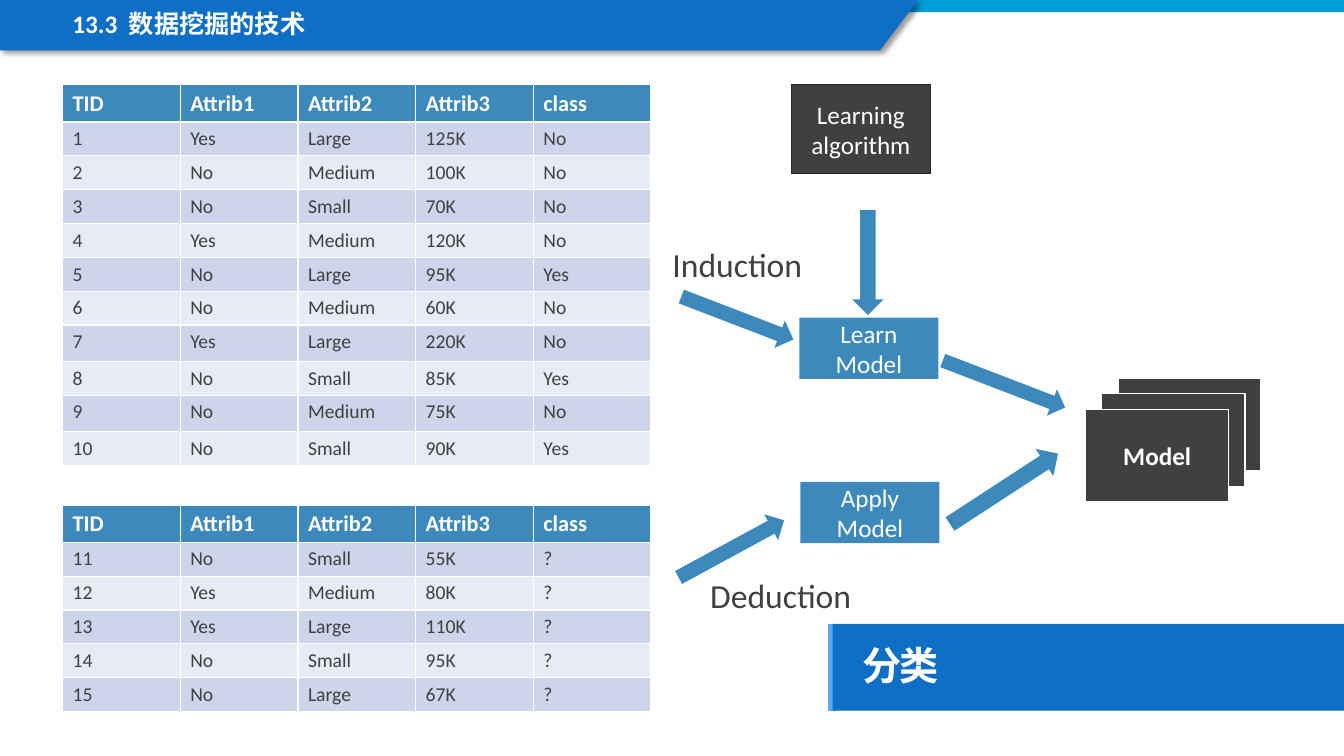
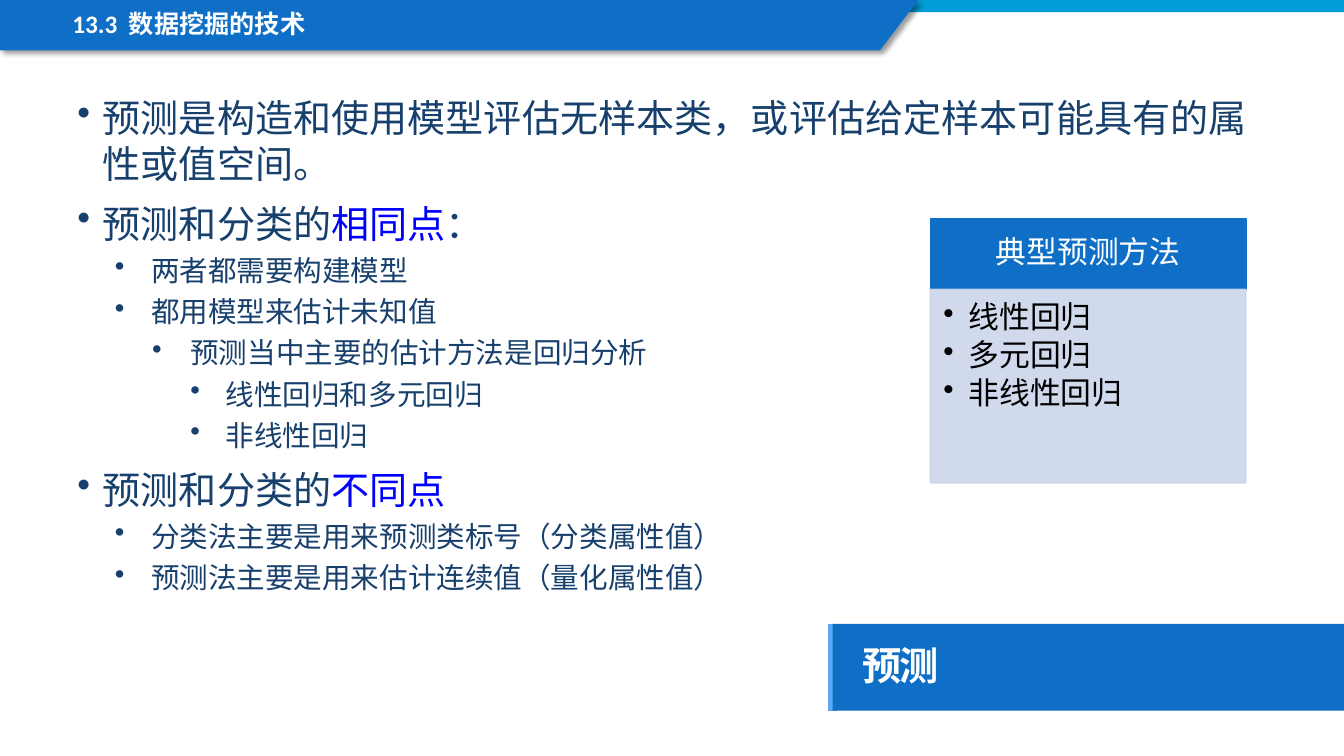
from dataclasses import dataclass

import pptx
import pptx.util
import pptx.dml.color
import pptx.enum.shapes
import pptx.enum.text
import pptx.oxml
import pptx.oxml.ns

RGBColor = pptx.dml.color.RGBColor
Pt = pptx.util.Pt
SHAPE = pptx.enum.shapes.MSO_SHAPE
ANCHOR = pptx.enum.text.MSO_ANCHOR
ALIGN = pptx.enum.text.PP_ALIGN

WHITE = RGBColor(0xFF, 0xFF, 0xFF)
BLACK = RGBColor(0x00, 0x00, 0x00)
BLUE = RGBColor(0x0F, 0x6F, 0xC6)
CYAN = RGBColor(0x00, 0x9D, 0xD9)
LIGHT_BLUE = RGBColor(0x59, 0xAA, 0xF2)
STEEL = RGBColor(0x3D, 0x89, 0xBC)
CHARCOAL = RGBColor(0x40, 0x40, 0x40)
OUTLINE = RGBColor(0x26, 0x26, 0x26)
NAVY = RGBColor(0x17, 0x40, 0x6D)
HIGHLIGHT = RGBColor(0x00, 0x00, 0xFF)
BAND_DARK = RGBColor(0xCC, 0xD5, 0xEA)
BAND_LIGHT = RGBColor(0xE7, 0xEB, 0xF5)

TEXT_FONT = "Calibri"
TAG_FONT = "Noto Sans CJK SC"
CHAPTER = "13.3  数据挖掘的技术"
CELL = pptx.util.Inches(0.1)  # one column or row of the slide grid
SLIDE_COLUMNS, SLIDE_ROWS = 133.33, 75


@dataclass
class Box:
    """A region of the slide, measured in grid columns and rows."""
    left: float
    top: float
    width: float
    height: float

    def inner(self, left, top, width, height):
        return Box(self.left + left, self.top + top, width, height)

    def lengths(self):
        return [grid(value) for value in (self.left, self.top, self.width, self.height)]


SLIDE = Box(0, 0, SLIDE_COLUMNS, SLIDE_ROWS)


def grid(count):
    return int(count * CELL)


def make_element(tag, **attributes):
    element = pptx.oxml.parse_xml(f"<a:{tag} {pptx.oxml.ns.nsdecls('a')}/>")
    for name, value in attributes.items():
        element.set(name, str(value))
    return element


def style_run(run, size, color, bold=False, font=TEXT_FONT):
    """Set one font for both Latin and East Asian characters."""
    run.font.size = Pt(size)
    run.font.color.rgb = color
    run.font.bold = bold
    run.font.name = font
    run.font._element.find(pptx.oxml.ns.qn("a:latin")).addnext(
        make_element("ea", typeface=font))


def style_text(text_frame, size, color, bold=False, font=TEXT_FONT, align=None, spacing=None):
    for paragraph in text_frame.paragraphs:
        paragraph.alignment = align
        paragraph.line_spacing = spacing
        for run in paragraph.runs:
            style_run(run, size, color, bold, font)


def set_margins(text_frame, left, top, right, bottom):
    text_frame.margin_left, text_frame.margin_top = grid(left), grid(top)
    text_frame.margin_right, text_frame.margin_bottom = grid(right), grid(bottom)


def set_bullet(paragraph, indent, hanging, level=0):
    paragraph.level = level
    properties = paragraph._p.get_or_add_pPr()
    properties.set("marL", str(grid(indent)))
    properties.set("indent", str(-grid(hanging)))
    properties.append(make_element("buChar", char="•"))


def paint(shape, fill, line=None):
    shape.shadow.inherit = False
    shape.fill.solid()
    shape.fill.fore_color.rgb = fill
    if line is None:
        shape.line.fill.background()
    else:
        shape.line.color.rgb = line
        shape.line.width = Pt(1)


def add_block(slide, box, fill, line=None, kind=SHAPE.RECTANGLE, rotation=0):
    shape = slide.shapes.add_shape(kind, *box.lengths())
    paint(shape, fill, line)
    shape.rotation = rotation
    return shape


def add_label_block(slide, box, text, fill, line=None, bold=False):
    shape = add_block(slide, box, fill, line)
    shape.text_frame.text = text
    shape.text_frame.vertical_anchor = ANCHOR.MIDDLE
    style_text(shape.text_frame, 18, WHITE, bold, align=ALIGN.CENTER)


def add_text(slide, box, text, size, color, **style):
    text_frame = slide.shapes.add_textbox(*box.lengths()).text_frame
    text_frame.word_wrap = True
    text_frame.text = text
    style_text(text_frame, size, color, **style)


def add_ribbon(slide, box):
    """Draw the slanted title ribbon with its soft shadow."""
    slant = 3.8
    builder = slide.shapes.build_freeform(grid(box.left), grid(box.top))
    builder.add_line_segments([
        (grid(box.left + box.width), grid(box.top)),
        (grid(box.left + box.width - slant), grid(box.top + box.height)),
        (grid(box.left), grid(box.top + box.height))])
    ribbon = builder.convert_to_shape()
    paint(ribbon, BLUE)
    shadow = make_element("outerShdw", blurRad=Pt(4), dist=Pt(3), dir=45 * 60000,
                          algn="tl", rotWithShape=0)
    color = make_element("srgbClr", val=BLACK)
    color.append(make_element("alpha", val=40000))
    shadow.append(color)
    ribbon._element.spPr.find(pptx.oxml.ns.qn("a:effectLst")).append(shadow)
    add_text(slide, box.inner(6.2, 0.7, 69.6, 3.8), CHAPTER, 18, WHITE, bold=True, spacing=0.9)


def add_topic_tag(slide, box, topic):
    edge = slide.shapes.add_connector(
        pptx.enum.shapes.MSO_CONNECTOR.STRAIGHT, grid(box.left), grid(box.top + box.height),
        grid(box.left), grid(box.top))
    edge.line.color.rgb = LIGHT_BLUE
    edge.line.width = Pt(6)
    edge._element.spPr.append(make_element("effectLst"))
    text_frame = add_block(slide, box, BLUE).text_frame
    text_frame.text = topic
    text_frame.vertical_anchor = ANCHOR.MIDDLE
    set_margins(text_frame, 3, 2, 2, 2)
    style_text(text_frame, 28, WHITE, True, TAG_FONT, ALIGN.LEFT, 0.9)
    text_frame.paragraphs[0].runs[0].font._element.set("spc", "-150")


def add_framed_slide(presentation, topic):
    slide = presentation.slides.add_slide(presentation.slide_layouts[6])
    add_block(slide, SLIDE.inner(0, 0, SLIDE_COLUMNS, 1.2), CYAN)
    add_ribbon(slide, SLIDE.inner(0, 0, 91.1, 5))
    add_topic_tag(slide, SLIDE.inner(82.6, 61.9, SLIDE_COLUMNS - 82.6, 8.6), topic)
    return slide


def add_record_table(slide, box, records, tall_rows=()):
    rows = [("TID", "Attrib1", "Attrib2", "Attrib3", "class"), *records]
    table = slide.shapes.add_table(len(rows), len(rows[0]), *box.lengths()).table
    for column in table.columns:
        column.width = grid(box.width / len(rows[0]))
    for index, values in enumerate(rows):
        header = index == 0
        table.rows[index].height = grid(3.7 if header else 3.6 if index in tall_rows else 3.36)
        fill = STEEL if header else BAND_DARK if index % 2 else BAND_LIGHT
        for cell, value in zip(table.rows[index].cells, values):
            cell.text = value
            cell.fill.solid()
            cell.fill.fore_color.rgb = fill
            style_text(cell.text_frame, 16 if header else 14,
                       WHITE if header else CHARCOAL, header)


def add_model_stack(slide, box):
    """Draw three overlapping cards, the front one labelled."""
    width, height = 14.2, 9.2
    for step in range(3):
        card = box.inner(1.6 * (2 - step), 1.55 * step, width, height)
        add_label_block(slide, card, "Model" if step == 2 else "", CHARCOAL, WHITE, True)


def add_learning_diagram(slide, box):
    add_label_block(slide, box.inner(13.2, 0, 13.8, 8.8), "Learning\nalgorithm", CHARCOAL, OUTLINE)
    add_label_block(slide, box.inner(14, 23.1, 13.8, 6.1), "Learn\nModel", STEEL)
    add_label_block(slide, box.inner(14.1, 39.4, 13.8, 6.1), "Apply\nModel", STEEL)
    arrows = [
        ((1.9, 21.7, 11.9, 2.9), 21),
        ((1.3, 44.6, 11.9, 2.9), 331.5),
        ((27.8, 28.3, 13, 2.8), 21),
        ((27.9, 38.5, 12.8, 3.2), 326.9),
        ((15.6, 16.1, 10.4, 3.1), 90),
    ]
    for place, rotation in arrows:
        add_block(slide, box.inner(*place), STEEL, kind=SHAPE.RIGHT_ARROW, rotation=rotation)
    add_model_stack(slide, box.inner(42.4, 29.1, 17.4, 12.3))
    for text, place in (("Induction", (0, 15.3, 15.7, 5)), ("Deduction", (3.6, 48.1, 17.1, 5))):
        add_text(slide, box.inner(*place), text, 24, CHARCOAL, align=ALIGN.CENTER)


def add_outline(slide, box, items):
    """Write (level, plain, highlighted, plain) items as a bulleted outline."""
    indents = [(2.5, 2.5), (7.3, 3.6), (11.2, 3.8), (14.7, 3.5)]
    text_frame = slide.shapes.add_textbox(*box.lengths()).text_frame
    text_frame.word_wrap = True
    for index, (level, *pieces) in enumerate(items):
        paragraph = text_frame.add_paragraph() if index else text_frame.paragraphs[0]
        set_bullet(paragraph, *indents[level], level)
        if index:
            paragraph.space_before = Pt(5 if level else 10)
        for position, piece in enumerate(pieces):
            run = paragraph.add_run()
            run.text = piece
            style_run(run, 20.4 if level else 27.2, HIGHLIGHT if position == 1 else NAVY)


def add_method_panel(slide, box, heading, methods):
    header_rows = 7
    header = add_block(slide, box.inner(0, 0, box.width, header_rows), BLUE, BLUE).text_frame
    header.text = heading
    header.vertical_anchor = ANCHOR.MIDDLE
    set_margins(header, 1.7, 1, 1.7, 1)
    style_text(header, 22, WHITE, align=ALIGN.CENTER, spacing=0.9)

    body = add_block(slide, box.inner(0, header_rows, box.width, box.height - header_rows),
                     BAND_DARK, BAND_DARK)
    for color in body._element.spPr.iter(pptx.oxml.ns.qn("a:srgbClr")):
        color.append(make_element("alpha", val=90000))
    text_frame = body.text_frame
    text_frame.text = "\n".join(methods)
    text_frame.vertical_anchor = ANCHOR.TOP
    set_margins(text_frame, 1.3, 1.3, 1.7, 1.9)
    for paragraph in text_frame.paragraphs:
        set_bullet(paragraph, 2.5, 2.5, 1)
        paragraph.space_after = Pt(3.3)
    style_text(text_frame, 22, BLACK, align=ALIGN.LEFT, spacing=0.9)


def build_classification(presentation):
    slide = add_framed_slide(presentation, "分类")
    training = [
        ("1", "Yes", "Large", "125K", "No"),
        ("2", "No", "Medium", "100K", "No"),
        ("3", "No", "Small", "70K", "No"),
        ("4", "Yes", "Medium", "120K", "No"),
        ("5", "No", "Large", "95K", "Yes"),
        ("6", "No", "Medium", "60K", "No"),
        ("7", "Yes", "Large", "220K", "No"),
        ("8", "No", "Small", "85K", "Yes"),
        ("9", "No", "Medium", "75K", "No"),
        ("10", "No", "Small", "90K", "Yes"),
    ]
    testing = [
        ("11", "No", "Small", "55K", "?"),
        ("12", "Yes", "Medium", "80K", "?"),
        ("13", "Yes", "Large", "110K", "?"),
        ("14", "No", "Small", "95K", "?"),
        ("15", "No", "Large", "67K", "?"),
    ]
    add_record_table(slide, SLIDE.inner(6.2, 8.4, 58.4, 37.5), training, tall_rows=(7, 9))
    add_record_table(slide, SLIDE.inner(6.2, 50.1, 58.4, 20.3), testing)
    add_learning_diagram(slide, SLIDE.inner(65.3, 8.4, 59.8, 53.1))


def build_prediction(presentation):
    slide = add_framed_slide(presentation, "预测")
    add_outline(slide, SLIDE.inner(6.7, 8.9, 118.5, 51.6), [
        (0, "预测是构造和使用模型评估无样本类，或评估给定样本可能具有的属性或值空间。"),
        (0, "预测和分类的", "相同点", "："),
        (1, "两者都需要构建模型"),
        (1, "都用模型来估计未知值"),
        (2, "预测当中主要的估计方法是回归分析"),
        (3, "线性回归和多元回归"),
        (3, "非线性回归"),
        (0, "预测和分类的", "不同点"),
        (1, "分类法主要是用来预测类标号（分类属性值）"),
        (1, "预测法主要是用来估计连续值（量化属性值）"),
    ])
    add_method_panel(slide, SLIDE.inner(92.3, 21.7, 31.3, 26.2), "典型预测方法",
                     ["线性回归", "多元回归", "非线性回归"])


def main():
    presentation = pptx.Presentation()
    presentation.slide_width = grid(SLIDE_COLUMNS)
    presentation.slide_height = grid(SLIDE_ROWS)
    build_classification(presentation)
    build_prediction(presentation)
    presentation.save("out.pptx")


if __name__ == "__main__":
    main()
